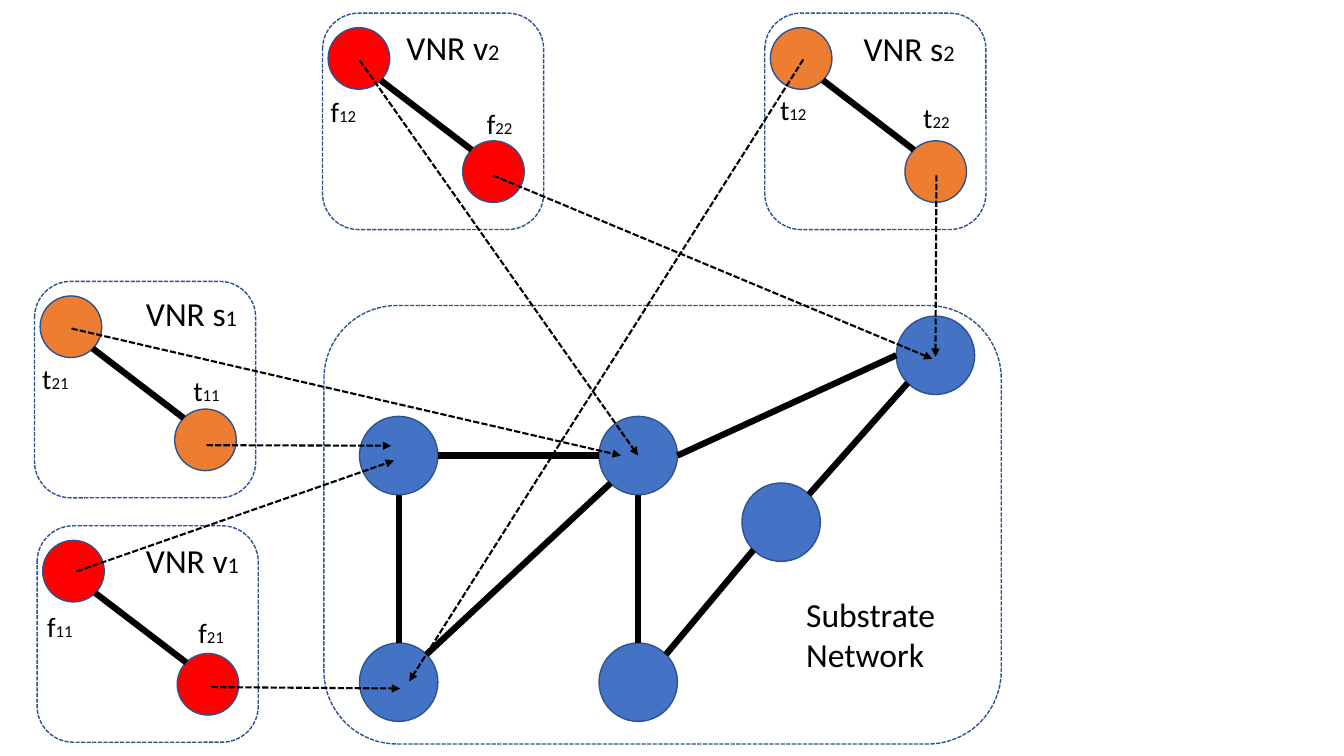
from math import cos, radians, sin

from lxml.etree import SubElement
from pptx import Presentation
from pptx.dml.color import RGBColor
from pptx.enum.dml import MSO_LINE
from pptx.enum.shapes import MSO_CONNECTOR, MSO_SHAPE
from pptx.oxml.ns import qn
from pptx.util import Pt

COLORS = {
    "substrate": "4472C4",
    "outline": "2F528F",
    "red": "FF0000",
    "orange": "ED7D31",
    "black": "000000",
}
SUBSTRATE_RADIUS = 28
VIRTUAL_RADIUS = 22
RIGHT, LOWER_RIGHT, BOTTOM, LOWER_LEFT, LEFT, UPPER_LEFT, TOP, UPPER_RIGHT = range(0, 360, 45)


def rim(center, radius, angle):
    x, y = center
    return x + radius * cos(radians(angle)), y + radius * sin(radians(angle))


class Diagram:
    font = "Calibri"

    def __init__(self, slide):
        self.slide = slide

    def color(self, name):
        return RGBColor.from_string(COLORS[name])

    def outlined(self, kind, left, top, width, height):
        shape = self.slide.shapes.add_shape(kind, Pt(left), Pt(top), Pt(width), Pt(height))
        shape.shadow.inherit = False
        shape.line.color.rgb = self.color("outline")
        shape.line.width = Pt(1)
        return shape

    def frame(self, left, top, width, height):
        shape = self.outlined(MSO_SHAPE.ROUNDED_RECTANGLE, left, top, width, height)
        shape.fill.background()
        shape.line.dash_style = MSO_LINE.SQUARE_DOT

    def node(self, center, radius, color):
        x, y = center
        shape = self.outlined(MSO_SHAPE.OVAL, x - radius, y - radius, 2 * radius, 2 * radius)
        shape.fill.solid()
        shape.fill.fore_color.rgb = self.color(color)

    def line(self, start, end, width):
        points = [Pt(value) for value in (*start, *end)]
        connector = self.slide.shapes.add_connector(MSO_CONNECTOR.STRAIGHT, *points)
        connector.line.color.rgb = self.color("black")
        connector.line.width = Pt(width)
        SubElement(connector._element.spPr, qn("a:effectLst"))
        return connector

    def link(self, start, end):
        self.line(start, end, 4.5)

    def mapping(self, start, end):
        connector = self.line(start, end, 1.5)
        connector.line.dash_style = MSO_LINE.SQUARE_DOT
        SubElement(connector.line._get_or_add_ln(), qn("a:tailEnd"), type="triangle")

    def text(self, left, top, width, height, *runs):
        box = self.slide.shapes.add_textbox(Pt(left), Pt(top), Pt(width), Pt(height))
        box.text_frame.word_wrap = True
        paragraph = box.text_frame.paragraphs[0]
        for content, size in runs:
            run = paragraph.add_run()
            run.text = content
            run.font.name = self.font
            run.font.size = Pt(size)
            run.font.color.rgb = self.color("black")

    def request(self, left, top, color, name, index, title_left, title_top):
        self.frame(left, top, 158, 154.6)
        first = (left + 26, top + 32.4)
        second = (left + 122.1, top + 113.2)
        for center in (first, second):
            self.node(center, VIRTUAL_RADIUS, color)
        self.text(title_left, title_top, 139, 36, (f"VNR {name}", 24), (index, 16))
        self.link(rim(first, VIRTUAL_RADIUS, LOWER_RIGHT), rim(second, VIRTUAL_RADIUS, UPPER_LEFT))


SUBSTRATE_NODES = {
    "A": (284.8, 325.4),
    "B": (455.9, 325.4),
    "C": (284.8, 487.3),
    "D": (455.9, 487.3),
    "E": (668.2, 253.8),
    "F": (558, 373),
}
SUBSTRATE_LINKS = [
    ("A", RIGHT, "B", LEFT),
    ("A", BOTTOM, "C", TOP),
    ("C", UPPER_RIGHT, "B", LOWER_LEFT),
    ("D", TOP, "B", BOTTOM),
    ("F", UPPER_RIGHT, "E", LOWER_LEFT),
    ("F", LOWER_LEFT, "D", UPPER_RIGHT),
    ("B", RIGHT, "E", LEFT),
]
REQUESTS = [
    (230.4, 9.4, "red", "v", "2", 283.3, 16),
    (26.5, 375.6, "red", "v", "1", 97.2, 382.3),
    (546.3, 9.4, "orange", "s", "2", 609.8, 16.4),
    (24.7, 201, "orange", "s", "1", 97.2, 206),
]
MAPPINGS = [
    ((54.7, 408.2), (281.5, 329)),
    ((151.2, 490.8), (285.8, 491.8)),
    ((257, 43.2), (455.8, 325.4)),
    ((352.1, 125.3), (666, 256.3)),
    ((51.1, 234.7), (443.5, 325.4)),
    ((147.6, 318), (279.4, 318.4)),
    ((668.9, 125.3), (668.2, 254.9)),
    ((573.8, 42.5), (292.3, 486.7)),
]
NODE_LABELS = [
    ("f", "12", 229, 64.1),
    ("f", "22", 340.6, 72.7),
    ("f", "21", 134.6, 436.3),
    ("f", "11", 26.6, 431.5),
    ("t", "21", 23, 254.9),
    ("t", "11", 131, 263.5),
    ("t", "22", 652.3, 68.4),
    ("t", "12", 550.1, 62.9),
]


def main():
    presentation = Presentation()
    presentation.slide_width = Pt(960)
    presentation.slide_height = Pt(540)
    diagram = Diagram(presentation.slides.add_slide(presentation.slide_layouts[6]))

    diagram.frame(231.4, 218.2, 483.8, 313.2)
    for center in SUBSTRATE_NODES.values():
        diagram.node(center, SUBSTRATE_RADIUS, "substrate")
    for source, source_angle, target, target_angle in SUBSTRATE_LINKS:
        diagram.link(
            rim(SUBSTRATE_NODES[source], SUBSTRATE_RADIUS, source_angle),
            rim(SUBSTRATE_NODES[target], SUBSTRATE_RADIUS, target_angle),
        )
    diagram.text(568.8, 420.5, 117.4, 65.5, ("Substrate Network", 24))

    for request in REQUESTS:
        diagram.request(*request)
    for start, end in MAPPINGS:
        diagram.mapping(start, end)
    for letter, index, left, top in NODE_LABELS:
        diagram.text(left, top, 49.7, 31.7, (letter, 20), (index, 12))

    presentation.save("out.pptx")


if __name__ == "__main__":
    main()
